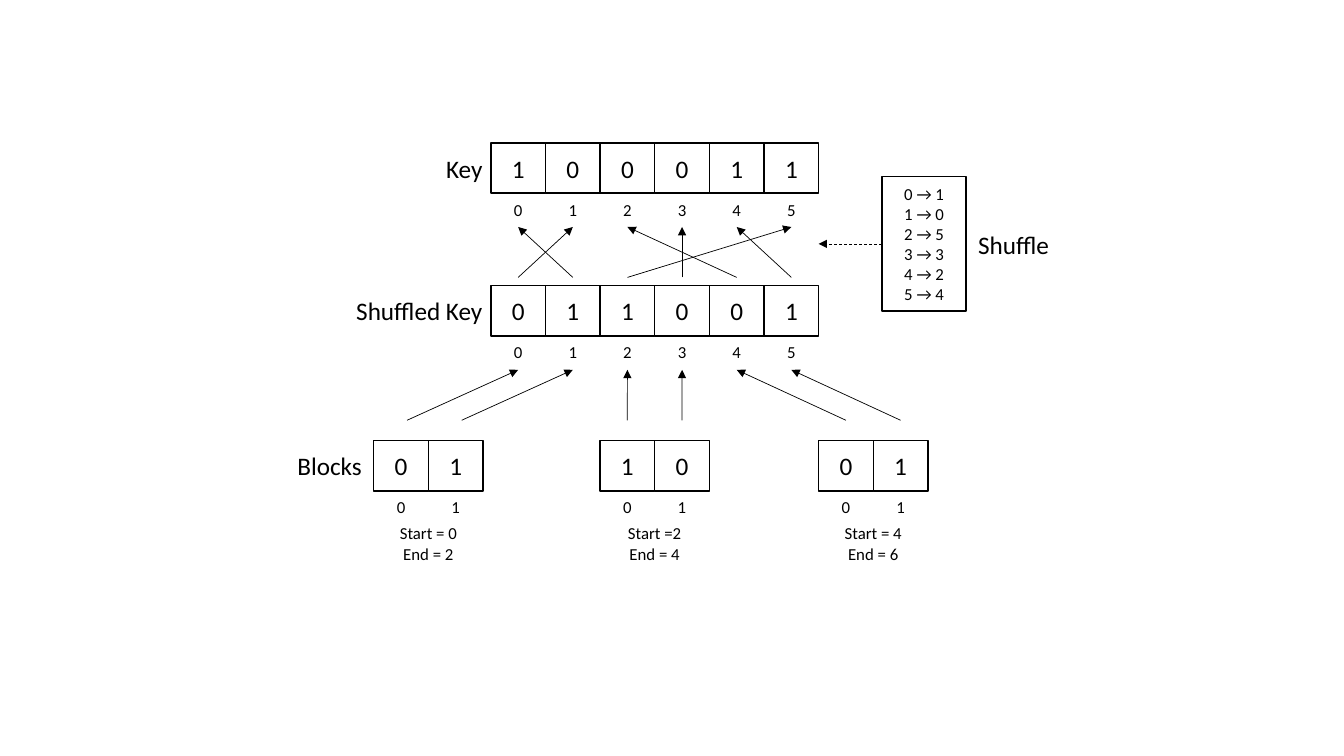
from pptx import Presentation
from pptx.dml.color import RGBColor
from pptx.enum import dml, shapes, text
from pptx.oxml import ns, xmlchemy
from pptx.util import Cm, Pt

BLACK = RGBColor(0, 0, 0)
FONT = "Calibri"
LEFT, CENTER, RIGHT = text.PP_ALIGN.LEFT, text.PP_ALIGN.CENTER, text.PP_ALIGN.RIGHT
MIDDLE, BOTTOM = text.MSO_ANCHOR.MIDDLE, text.MSO_ANCHOR.BOTTOM

# Lengths in centimetres
CELL_WIDTH, CELL_HEIGHT, INDEX_HEIGHT = 1.377, 1.27, 0.66
ARROW_GAP, ARROW_HEIGHT = 2.12, 1.27  # gap runs from the top of the upper row
KEY_LEFT, KEY_TOP, SHUFFLED_TOP, BLOCK_TOP = 12.37, 3.6, 7.2, 11.1

KEY_BITS, SHUFFLED_BITS = "100011", "011001"
SHUFFLE = [1, 0, 5, 3, 2, 4]
# Left edge, shift of the arrow tails, caption
BLOCKS = [
    (9.42, 0.15, ["Start = 0", "End = 2"]),
    (15.12, 0, ["Start =2", "End = 4"]),
    (20.63, 0, ["Start = 4", "End = 6"]),
]
BLOCK_SIZE = 2


def write(shape, lines, size, align=CENTER, anchor=MIDDLE):
    """Fill a shape with one paragraph per line, without margins."""
    frame = shape.text_frame
    frame.word_wrap = True
    frame.vertical_anchor = anchor
    frame.margin_left = frame.margin_right = frame.margin_top = frame.margin_bottom = 0
    frame.text = "\n".join(lines)
    for paragraph in frame.paragraphs:
        paragraph.alignment = align
        paragraph.font.name = FONT
        paragraph.font.size = Pt(size)
        paragraph.font.color.rgb = BLACK


def add_label(slide, box, lines, size, align=CENTER, anchor=MIDDLE):
    """Place plain text in a box (left, top, width, height)."""
    write(slide.shapes.add_textbox(*map(Cm, box)), lines, size, align, anchor)


def add_frame(slide, box, lines, size):
    """Place an outlined, unfilled rectangle with centred text."""
    shape = slide.shapes.add_shape(shapes.MSO_SHAPE.RECTANGLE, *map(Cm, box))
    shape.shadow.inherit = False
    shape.fill.background()
    shape.line.color.rgb = BLACK
    shape.line.width = Pt(1)
    write(shape, lines, size)


def add_arrow(slide, start, end, dashed=False):
    """Draw a thin arrow from start to end."""
    connector = slide.shapes.add_connector(
        shapes.MSO_CONNECTOR.STRAIGHT, *map(Cm, (*start, *end)))
    connector.line.color.rgb = BLACK
    connector.line.width = Pt(0.5)
    if dashed:
        connector.line.dash_style = dml.MSO_LINE.DASH
    properties = connector._element.spPr
    line = properties.find(ns.qn("a:ln"))
    line.append(xmlchemy.OxmlElement("a:tailEnd"))
    line[-1].set("type", "triangle")
    properties.append(xmlchemy.OxmlElement("a:effectLst"))


def cell_center(left, index):
    """Return the horizontal centre of a cell in a row."""
    return left + (index + 0.5) * CELL_WIDTH


def add_bit_row(slide, left, top, bits):
    """Draw a row of bit cells with their indices underneath."""
    for index, bit in enumerate(bits):
        x = left + index * CELL_WIDTH
        add_frame(slide, (x, top, CELL_WIDTH, CELL_HEIGHT), [bit], 18)
        add_label(slide, (x, top + CELL_HEIGHT, CELL_WIDTH, INDEX_HEIGHT),
                  [str(index)], 12, anchor=BOTTOM)


def add_mapping_arrow(slide, row_top, tail_x, head_x):
    """Point an arrow up at an index of the row at row_top."""
    head_y = row_top + ARROW_GAP
    add_arrow(slide, (tail_x, head_y + ARROW_HEIGHT), (head_x, head_y))


def add_keys(slide, left):
    """Draw the key, the shuffled key and the arrows between them."""
    for name, top, bits in (("Key", KEY_TOP, KEY_BITS),
                            ("Shuffled Key", SHUFFLED_TOP, SHUFFLED_BITS)):
        add_bit_row(slide, left, top, bits)
        add_label(slide, (left - 4.55, top, 4.34, CELL_HEIGHT), [name], 18, RIGHT)
    for source, target in enumerate(SHUFFLE):
        add_mapping_arrow(slide, KEY_TOP, cell_center(left, source),
                          cell_center(left, target))


def add_shuffle(slide, left, top, width, height):
    """Draw the shuffle table, its name and the dashed pointer."""
    lines = [f"{source} → {target}" for source, target in enumerate(SHUFFLE)]
    add_frame(slide, (left, top, width, height), lines, 12)
    middle = top + height / 2
    add_label(slide, (left + width + 0.3, middle - 0.63, 2.34, CELL_HEIGHT),
              ["Shuffle"], 18, LEFT)
    add_arrow(slide, (left, middle), (left - 1.6, middle), dashed=True)


def add_blocks(slide, top):
    """Draw the blocks with captions and arrows to the shuffled key."""
    add_label(slide, (6.78, top, 2.34, CELL_HEIGHT), ["Blocks"], 18, RIGHT)
    for number, (left, shift, caption) in enumerate(BLOCKS):
        first = number * BLOCK_SIZE
        add_bit_row(slide, left, top, SHUFFLED_BITS[first:first + BLOCK_SIZE])
        add_label(slide, (left, top + CELL_HEIGHT + INDEX_HEIGHT,
                          BLOCK_SIZE * CELL_WIDTH, 1.32), caption, 12)
        for index in range(BLOCK_SIZE):
            add_mapping_arrow(slide, SHUFFLED_TOP, cell_center(left, index) + shift,
                              cell_center(KEY_LEFT, first + index))


presentation = Presentation()
presentation.slide_width, presentation.slide_height = Cm(33.87), Cm(19.05)
slide = presentation.slides.add_slide(presentation.slide_layouts[6])
add_keys(slide, KEY_LEFT)
add_shuffle(slide, 22.23, 4.45, 2.12, 3.39)
add_blocks(slide, BLOCK_TOP)
presentation.save("out.pptx")
